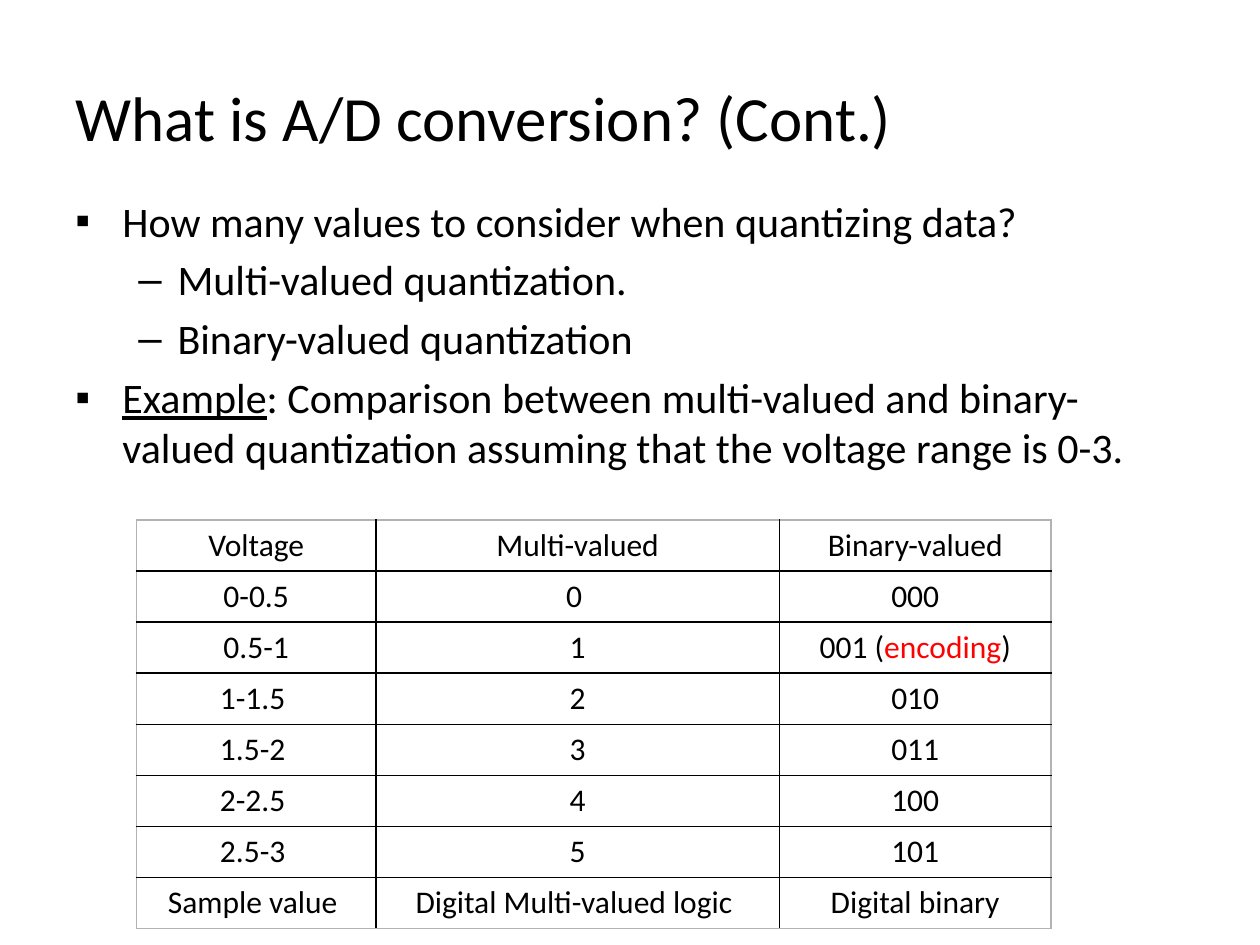
from lxml.etree import SubElement
from pptx import Presentation
from pptx.dml.color import RGBColor
from pptx.enum.text import MSO_ANCHOR, PP_ALIGN
from pptx.oxml.ns import qn
from pptx.util import Cm, Pt

BLACK, RED, GREY = "000000", "FF0000", "B2B2B2"

BULLETS = [
    (0, [("How many values to consider when quantizing data?", {})]),
    (1, [("Multi-valued quantization.", {})]),
    (1, [("Binary-valued quantization", {})]),
    (0, [("Example", {"underline": True}),
         (": Comparison between multi-valued and binary-valued quantization "
          "assuming that the voltage range is 0-3.", {})]),
]
BULLET_LEVELS = [("▪", Cm(0.95), Cm(-0.95)), ("–", Cm(2.06), Cm(-0.79))]

ROWS = [
    ("Voltage", "Multi-valued", "Binary-valued"),
    ("0-0.5", "0 ", "000"),
    ("0.5-1", "1", [("001 (", {}), ("encoding", {"color": RED}), (")", {})]),
    ("1-1.5 ", "2", "010"),
    ("1.5-2 ", "3", "011"),
    ("2-2.5 ", "4", "100"),
    ("2.5-3 ", "5", "101"),
    ("Sample value ", "Digital Multi-valued logic ", "Digital binary"),
]
COLUMN_WIDTHS = [Cm(4.83), Cm(8.13), Cm(5.48)]
ROW_HEIGHT = Cm(1.03)


def color_of(hex_string):
    """Turn a hex string into a colour."""
    return RGBColor.from_string(hex_string)


def add_text(paragraph, text, size=18, color=BLACK, underline=None, font="Calibri"):
    """Add a formatted run to a paragraph."""
    run = paragraph.add_run()
    run.text = text
    run.font.name = font
    run.font.size = Pt(size)
    run.font.underline = underline
    run.font.color.rgb = color_of(color)


def set_bullet(paragraph, character, margin, indent):
    """Give a paragraph a hanging bullet."""
    properties = paragraph._p.get_or_add_pPr()
    properties.set("marL", str(margin))
    properties.set("indent", str(indent))
    SubElement(properties, qn("a:buFont"), typeface="Arial")
    SubElement(properties, qn("a:buChar"), char=character)


def set_border(cell, side, color):
    """Draw one border of a table cell."""
    properties = cell._tc.get_or_add_tcPr()
    line = SubElement(properties, qn(f"a:{side}"), w=str(Pt(1)))
    fill = SubElement(line, qn("a:solidFill"))
    SubElement(fill, qn("a:srgbClr"), val=color)


class SlideBuilder:
    """Hold the text style and the current slide."""

    title_size, body_size, table_size = 36, 24, 18

    def __init__(self, presentation):
        """Start a title-only slide."""
        self.slide = presentation.slides.add_slide(presentation.slide_layouts[5])

    def add_title(self, text, left, top, width, height):
        """Place and format the title."""
        title = self.slide.shapes.title
        title.left, title.top, title.width, title.height = left, top, width, height
        title.text_frame.vertical_anchor = MSO_ANCHOR.MIDDLE
        paragraph = title.text_frame.paragraphs[0]
        paragraph.alignment = PP_ALIGN.LEFT
        add_text(paragraph, text, size=self.title_size)

    def add_bullets(self, items, left, top, width, height):
        """Add a box of bulleted paragraphs."""
        frame = self.slide.shapes.add_textbox(left, top, width, height).text_frame
        frame.word_wrap = True
        for index, (level, runs) in enumerate(items):
            paragraph = frame.add_paragraph() if index else frame.paragraphs[0]
            paragraph.level = level
            if index:
                paragraph.space_before = Pt(4.8)
            set_bullet(paragraph, *BULLET_LEVELS[level])
            for text, style in runs:
                add_text(paragraph, text, size=self.body_size, **style)

    def add_table(self, rows, widths, row_height, left, top):
        """Add a centred, ruled table."""
        table = self.slide.shapes.add_table(
            len(rows), len(widths), left, top, sum(widths), row_height * len(rows)).table
        table.first_row = table.horz_banding = False
        for column, width in zip(table.columns, widths):
            column.width = width
        for row_index, row in enumerate(rows):
            for column_index, content in enumerate(row):
                cell = table.cell(row_index, column_index)
                outer_sides = {
                    "lnL": column_index == 0,
                    "lnR": column_index == len(widths) - 1,
                    "lnT": row_index == 0,
                    "lnB": row_index == len(rows) - 1,
                }
                for side, is_outer in outer_sides.items():
                    set_border(cell, side, GREY if is_outer else BLACK)
                cell.fill.background()
                paragraph = cell.text_frame.paragraphs[0]
                paragraph.alignment = PP_ALIGN.CENTER
                runs = [(content, {})] if isinstance(content, str) else content
                for text, style in runs:
                    add_text(paragraph, text, size=self.table_size, **style)


def main():
    """Build and save the presentation."""
    presentation = Presentation()
    presentation.slide_width, presentation.slide_height = Cm(25.4), Cm(19.05)
    builder = SlideBuilder(presentation)
    builder.add_title("What is A/D conversion? (Cont.)",
                      Cm(1.27), Cm(0.76), Cm(22.86), Cm(3.18))
    builder.add_bullets(BULLETS, Cm(1.27), Cm(3.81), Cm(22.86), Cm(6.05))
    builder.add_table(ROWS, COLUMN_WIDTHS, ROW_HEIGHT, Cm(2.75), Cm(10.48))
    presentation.save("out.pptx")


if __name__ == "__main__":
    main()
